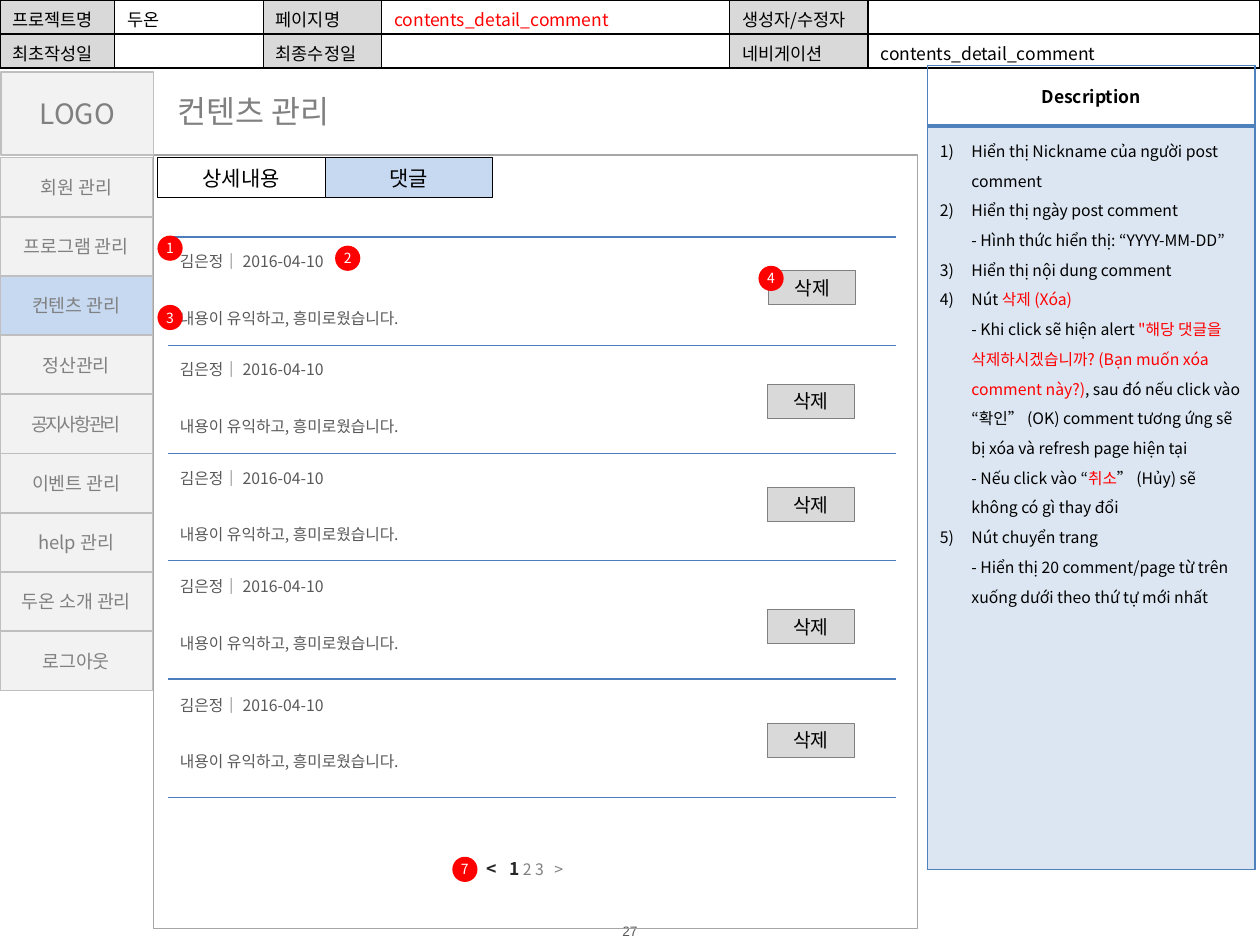
"""Build the comment tab page of a contents management screen specification."""
from lxml.etree import SubElement
from pptx import Presentation
from pptx.dml.color import RGBColor
from pptx.enum.shapes import MSO_CONNECTOR, MSO_SHAPE
from pptx.enum.text import MSO_ANCHOR, PP_ALIGN
from pptx.oxml.ns import qn
from pptx.util import Inches, Pt

BLACK = RGBColor(0x00, 0x00, 0x00)
WHITE = RGBColor(0xFF, 0xFF, 0xFF)
RED = RGBColor(0xFF, 0x00, 0x00)
INK = RGBColor(0x26, 0x26, 0x26)
DARK = RGBColor(0x59, 0x59, 0x59)
GRAY = RGBColor(0x80, 0x80, 0x80)
FRAME = RGBColor(0xA6, 0xA6, 0xA6)
EDGE = RGBColor(0xBF, 0xBF, 0xBF)
SILVER = RGBColor(0xD9, 0xD9, 0xD9)
PALE = RGBColor(0xF2, 0xF2, 0xF2)
ACTIVE = RGBColor(0xC6, 0xD9, 0xF1)
BLUE = RGBColor(0x4F, 0x81, 0xBD)
RULE = RGBColor(0x4B, 0x7E, 0xBC)
TINT = RGBColor(0xDC, 0xE6, 0xF2)
FONT = "Noto Sans CJK KR"


def style(r, size, color, bold=False, font=FONT):
    r.font.size, r.font.bold, r.font.name = Pt(size), bold, font
    r.font.color.rgb = color
    SubElement(r._r.get_or_add_rPr(), qn("a:ea"), typeface=font)


def box(x, y, w, h, text, size, color, fill=None, line=None, width=0.75, kind=MSO_SHAPE.RECTANGLE):
    sp = s.shapes.add_shape(kind, Inches(x), Inches(y), Inches(w), Inches(h))
    sp.shadow.inherit = False
    if fill is None:
        sp.fill.background()
    else:
        sp.fill.solid()
        sp.fill.fore_color.rgb = fill
    if line is None:
        sp.line.fill.background()
    else:
        sp.line.color.rgb = line
        sp.line.width = Pt(width)
    tf = sp.text_frame
    tf.vertical_anchor = MSO_ANCHOR.MIDDLE
    tf.text = text
    p = tf.paragraphs[0]
    p.alignment = PP_ALIGN.CENTER
    for r in p.runs:
        style(r, size, color)
    return sp


prs = Presentation()
prs.slide_width, prs.slide_height = Inches(10), Inches(7.5)
s = prs.slides.add_slide(prs.slide_layouts[6])

tb = s.shapes.add_textbox(Inches(4.57), Inches(7.32), Inches(0.86), Inches(0.14))
tf = tb.text_frame
tf.margin_left = tf.margin_right = tf.margin_top = tf.margin_bottom = 0
tf.vertical_anchor = MSO_ANCHOR.MIDDLE
tf.text = "27"
tf.paragraphs[0].alignment = PP_ALIGN.CENTER
style(tf.paragraphs[0].runs[0], 7.8, DARK, font="Arial")

info_rows = [
    ["프로젝트명", "두온", "페이지명", "contents_detail_comment", "생성자/수정자", ""],
    ["최초작성일", "", "최종수정일", "", "네비게이션", "contents_detail_comment"],
]
info = s.shapes.add_table(2, 6, 0, 0, Inches(10), Inches(0.54)).table
for col, w in zip(info.columns, [0.91, 1.18, 0.94, 2.76, 1.1, 3.11]):
    col.width = Inches(w)
for i, texts in enumerate(info_rows):
    for j, text in enumerate(texts):
        cell = info.cell(i, j)
        cell.margin_bottom = Inches(0.01)
        cell.text = text
        p = cell.text_frame.paragraphs[0]
        if text:
            style(p.runs[0], 10, RED if (i, j) == (0, 3) else BLACK)
        else:
            p._p.get_or_add_endParaRPr().set("sz", "1000")
        if j % 2 == 0:
            cell.fill.solid()
            cell.fill.fore_color.rgb = SILVER
        else:
            cell.fill.background()

notes = [
    [("Hiển thị Nickname của người post comment", BLACK)],
    [("Hiển thị ngày post comment\n- Hình thức hiển thị: “YYYY-MM-DD”", BLACK)],
    [("Hiển thị nội dung comment", BLACK)],
    [
        ("Nút ", BLACK),
        ("삭제 (Xóa)\n", RED),
        ("- Khi click sẽ hiện alert ", BLACK),
        ("\"해당 댓글을 삭제하시겠습니까? (Bạn muốn xóa comment này?)", RED),
        (", sau đó nếu click vào “확인” (OK) comment tương ứng sẽ bị xóa và refresh page hiện tại\n"
         "- Nếu click vào “", BLACK),
        ("취소", RED),
        ("” (Hủy) sẽ không có gì thay đổi", BLACK),
    ],
    [("Nút chuyển trang\n- Hiển thị 20 comment/page từ trên xuống dưới theo thứ tự mới nhất", BLACK)],
]
desc = s.shapes.add_table(2, 1, Inches(7.36), Inches(0.52), Inches(2.6), Inches(6.38)).table
desc.rows[0].height, desc.rows[1].height = Inches(0.48), Inches(5.9)
head, body = desc.cell(0, 0), desc.cell(1, 0)
head.fill.background()
head.vertical_anchor = MSO_ANCHOR.MIDDLE
head.text = "Description"
head.text_frame.paragraphs[0].alignment = PP_ALIGN.CENTER
style(head.text_frame.paragraphs[0].runs[0], 10, BLACK, True)
body.fill.solid()
body.fill.fore_color.rgb = TINT
tf = body.text_frame
for i, parts in enumerate(notes):
    p = tf.add_paragraph() if i else tf.paragraphs[0]
    p.line_spacing = 1.3
    pPr = p._p.get_or_add_pPr()
    pPr.set("marL", str(Inches(0.25)))
    pPr.set("indent", str(-Inches(0.25)))
    SubElement(pPr, qn("a:buFont"), typeface="+mj-lt")
    SubElement(pPr, qn("a:buAutoNum"), type="arabicParenR")
    for text, color in parts:
        for k, piece in enumerate(text.split("\n")):
            if k:
                p.add_line_break()
            if piece:
                r = p.add_run()
                r.text = piece
                style(r, 9, color)
    for br in p._p.findall(qn("a:br")):
        SubElement(br, qn("a:rPr"), sz="900")

for table, color in [(info, BLACK), (desc, BLUE)]:
    table.first_row = table.horz_banding = False
    for i, row in enumerate(table.rows):
        for cell in row.cells:
            tcPr = cell._tc.get_or_add_tcPr()
            for k, side in enumerate(["lnL", "lnR", "lnT", "lnB"]):
                thick = table is desc and (i, side) in [(0, "lnB"), (1, "lnT")]
                ln = SubElement(tcPr, qn(f"a:{side}"), w=str(Pt(2 if thick else 1)))
                SubElement(SubElement(ln, qn("a:solidFill")), qn("a:srgbClr"), val=str(color))
                tcPr.insert(k, ln)

tb = s.shapes.add_textbox(Inches(1.31), Inches(0.68), Inches(1.55), Inches(0.4))
tb.text_frame.text = "컨텐츠 관리"
style(tb.text_frame.paragraphs[0].runs[0], 18, GRAY)

box(1.22, 1.23, 6.06, 6.14, "", 12, BLACK, line=FRAME)
box(1.25, 1.25, 1.33, 0.32, "상세내용", 12, BLACK, line=BLACK, width=0.5)
box(2.58, 1.25, 1.33, 0.32, "댓글", 12, BLACK, ACTIVE, BLACK, 0.5)

for y in [1.95, 2.81, 3.67, 4.53, 5.47]:
    tb = s.shapes.add_textbox(Inches(1.33), Inches(y), Inches(2.97), Inches(0.86))
    tf = tb.text_frame
    tf.word_wrap = True
    tf.text = "김은정｜ 2016-04-10\n내용이 유익하고, 흥미로웠습니다."
    tf.paragraphs[1].space_before = Pt(21.5)
    for p in tf.paragraphs:
        style(p.runs[0], 9, DARK)

for y in [1.88, 2.74, 3.6, 4.45, 5.39, 6.33]:
    ln = s.shapes.add_connector(MSO_CONNECTOR.STRAIGHT, Inches(1.33), Inches(y), Inches(7.11), Inches(y))
    ln.line.color.rgb = RULE
    ln.line.width = Pt(0.75)
    SubElement(ln._element.spPr, qn("a:effectLst"))

tb = s.shapes.add_textbox(Inches(3.43), Inches(6.76), Inches(1.49), Inches(0.27))
tf = tb.text_frame
tf.word_wrap = True
tf.margin_left = Inches(0.43)
p = tf.paragraphs[0]
tabs = SubElement(p._p.get_or_add_pPr(), qn("a:tabLst"))
for pos in [0.18, 0.54]:
    SubElement(tabs, qn("a:tab"), pos=str(Inches(pos)), algn="l")
for text, size, color, bold in [("<\t1", 10, INK, True), (" 2 3\t>", 9, GRAY, False)]:
    r = p.add_run()
    r.text = text
    style(r, size, color, bold)

for x, y in [(6.1, 2.15), (6.09, 3.05), (6.09, 3.87), (6.09, 4.84), (6.09, 5.74)]:
    box(x, y, 0.69, 0.27, "삭제", 11, BLACK, SILVER, GRAY)

for num, x, y in [("1", 1.25, 1.87), ("2", 2.66, 1.95), ("3", 1.25, 2.42), ("4", 6.02, 2.11), ("7", 3.59, 6.8)]:
    tf = box(x, y, 0.2, 0.2, num, 8, WHITE, RED, kind=MSO_SHAPE.OVAL).text_frame
    tf.margin_left = tf.margin_right = tf.margin_top = tf.margin_bottom = 0

box(0.01, 0.57, 1.21, 0.66, "LOGO", 16, GRAY, PALE, EDGE, 1)
menu = ["회원 관리", "프로그램 관리", "컨텐츠 관리", "정산관리", "공지사항 관리",
        "이벤트 관리", "help 관리", "두온 소개 관리", "로그아웃"]
for i, text in enumerate(menu):
    fill = ACTIVE if text == "컨텐츠 관리" else PALE
    sp = box(0, 1.25 + 0.47 * i, 1.21, 0.47, text, 10.5, GRAY, fill, EDGE, 1)
    if text == "공지사항 관리":
        sp.text_frame.paragraphs[0].runs[0]._r.get_or_add_rPr().set("spc", "-150")

prs.save("out.pptx")
